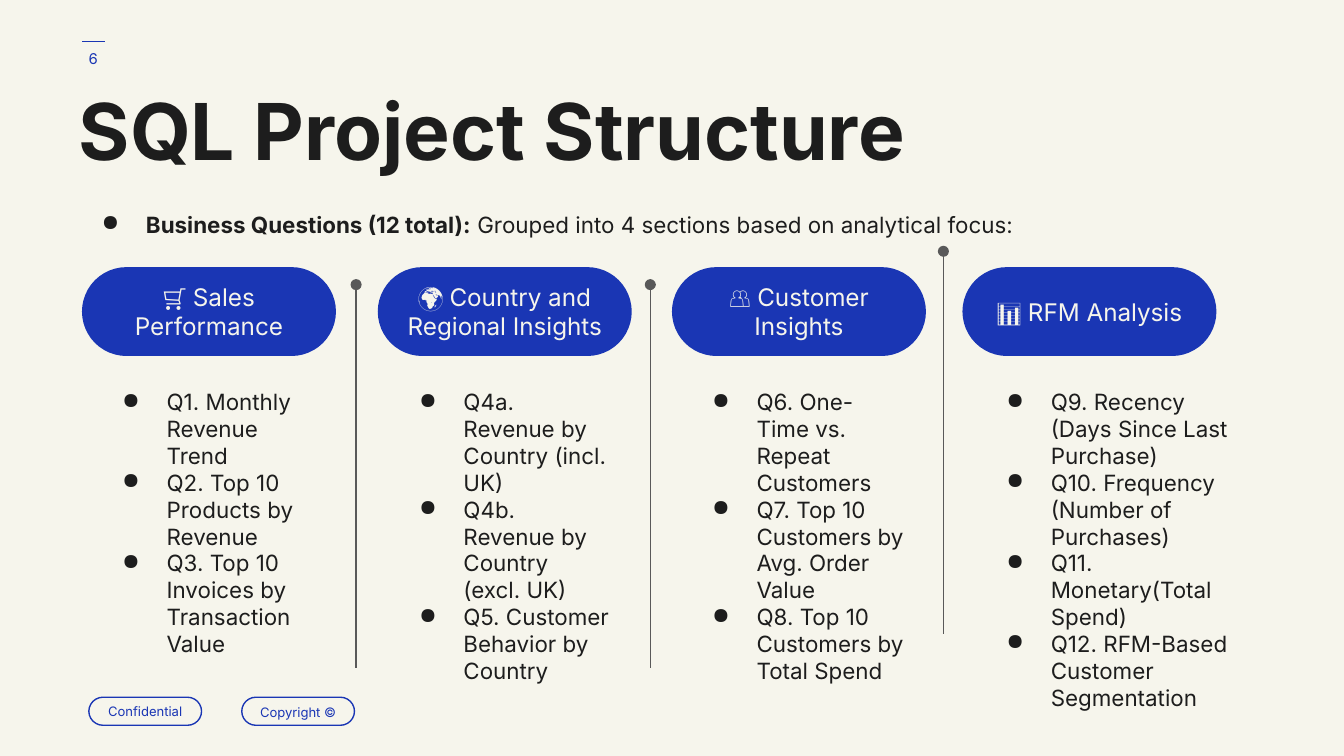
from pptx import Presentation
from pptx.dml.color import RGBColor
from pptx.enum import shapes, text
from pptx.oxml import ns, xmlchemy
from pptx.util import Cm, Pt

FONT = "Inter"
BLUE, INK, CREAM, GREY = "1A36B4", "1D1D1D", "F6F5EC", "595959"
CENTER = text.PP_ALIGN.CENTER
MIDDLE = text.MSO_ANCHOR.MIDDLE

# Heading, heading left, list left, list width, questions
SECTIONS = [
    ("🛒 Sales Performance", 1.55, 1.63, 4.55, [
        "Q1. Monthly Revenue Trend",
        "Q2. Top 10 Products by Revenue",
        "Q3. Top 10 Invoices by Transaction Value"]),
    ("🌍 Country and Regional Insights", 7.14, 7.24, 4.55, [
        "Q4a. Revenue by Country (incl. UK)",
        "Q4b. Revenue by Country (excl. UK)",
        "Q5. Customer Behavior by Country"]),
    ("👥 Customer Insights", 12.7, 12.78, 4.55, [
        "Q6. One-Time vs. Repeat Customers",
        "Q7. Top 10 Customers by Avg. Order Value",
        "Q8. Top 10 Customers by Total Spend"]),
    ("📊 RFM Analysis", 18.19, 18.34, 5.38, [
        "Q9. Recency (Days Since Last Purchase)",
        "Q10. Frequency (Number of Purchases)",
        "Q11. Monetary(Total Spend)",
        "Q12. RFM-Based Customer Segmentation"]),
]
DIVIDERS = [(6.73, 5.38), (12.29, 5.38), (17.83, 4.75)]
TAGS = [("Confidential", 1.68, 1), ("Copyright ©", 4.57, 1.15)]


def color(value):
    return RGBColor.from_string(value)


def add_xml(parent, tag, **attributes):
    child = xmlchemy.OxmlElement(tag)
    for key, value in attributes.items():
        child.set(key, str(value))
    parent.append(child)
    return child


def add_bullet(paragraph):
    properties = paragraph._p.get_or_add_pPr()
    properties.set("marL", str(Cm(1.27)))
    properties.set("indent", str(Cm(-0.84)))
    add_xml(add_xml(properties, "a:buClr"), "a:srgbClr", val=INK)
    add_xml(properties, "a:buChar", char="●")


def write(shape, paragraphs, size, ink, align=None, anchor=text.MSO_ANCHOR.TOP,
          spacing=None, bullets=False):
    """Fill a shape with paragraphs, each a list of (wording, bold) runs."""
    frame = shape.text_frame
    frame.word_wrap = True
    frame.vertical_anchor = anchor
    frame.margin_left = frame.margin_right = Cm(0.25)
    frame.margin_top = frame.margin_bottom = Cm(0.25)
    for index, runs in enumerate(paragraphs):
        paragraph = frame.add_paragraph() if index else frame.paragraphs[0]
        paragraph.alignment = align
        paragraph.line_spacing = spacing
        if bullets:
            add_bullet(paragraph)
        for wording, bold in runs:
            run = paragraph.add_run()
            run.text = wording
            run.font.name = FONT
            run.font.size = Pt(size)
            run.font.bold = bold
            run.font.color.rgb = color(ink)


def add_text(slide, box, paragraphs, size, ink, **layout):
    write(slide.shapes.add_textbox(*map(Cm, box)), paragraphs, size, ink, **layout)


def add_pill(slide, box, wording, size, ink, fill=None, line=None, spacing=None):
    pill = slide.shapes.add_shape(
        shapes.MSO_SHAPE.ROUNDED_RECTANGLE, *map(Cm, box))
    pill.adjustments[0] = 0.5
    pill.shadow.inherit = False
    if fill:
        pill.fill.solid()
        pill.fill.fore_color.rgb = color(fill)
    else:
        pill.fill.background()
    if line:
        pill.line.color.rgb = color(line)
        pill.line.width = Pt(0.75)
    else:
        pill.line.fill.background()
    write(pill, [[(wording, False)]], size, ink, CENTER, MIDDLE, spacing)


def add_line(slide, ends, ink, dot=False):
    line = slide.shapes.add_connector(
        shapes.MSO_CONNECTOR.STRAIGHT, *map(Cm, ends))
    line.line.color.rgb = color(ink)
    line.line.width = Pt(0.75)
    if dot:
        add_xml(line._element.spPr.find(ns.qn("a:ln")), "a:headEnd", type="oval")
    add_xml(line._element.spPr, "a:effectLst")


def main():
    deck = Presentation()
    deck.slide_width, deck.slide_height = Cm(25.4), Cm(14.29)
    slide = deck.slides.add_slide(deck.slide_layouts[6])
    slide.background.fill.solid()
    slide.background.fill.fore_color.rgb = color(CREAM)

    # Page number and footer tags
    add_line(slide, (1.98, 0.79, 1.55, 0.79), BLUE)
    add_text(slide, (1.17, 0.56, 1.19, 1.09), [[("6", False)]], 8, BLUE,
             align=CENTER, anchor=MIDDLE)
    for wording, left, spacing in TAGS:
        add_pill(slide, (left, 13.18, 2.13, 0.53), wording, 7, BLUE,
                 line=BLUE, spacing=spacing)

    # Title and introduction
    add_text(slide, (1.24, 1.65, 19.08, 2.01),
             [[("SQL Project Structure", True)]], 42, INK, spacing=0.8)
    add_text(slide, (1.24, 3.66, 22.33, 1.4),
             [[("Business Questions (12 total):", True),
               (" Grouped into 4 sections based on analytical focus:", False)]],
             12, INK, spacing=1.15, bullets=True)

    # Sections with their questions
    for heading, heading_left, list_left, list_width, questions in SECTIONS:
        add_text(slide, (list_left, 7.09, list_width, 4.78),
                 [[(question, False)] for question in questions],
                 12, INK, bullets=True)
        add_pill(slide, (heading_left, 5.05, 4.8, 1.68), heading, 13, CREAM,
                 fill=BLUE)

    # Dividers between sections
    for left, top in DIVIDERS:
        add_line(slide, (left, top, left, top + 7.24), GREY, dot=True)

    deck.save("out.pptx")


if __name__ == "__main__":
    main()
